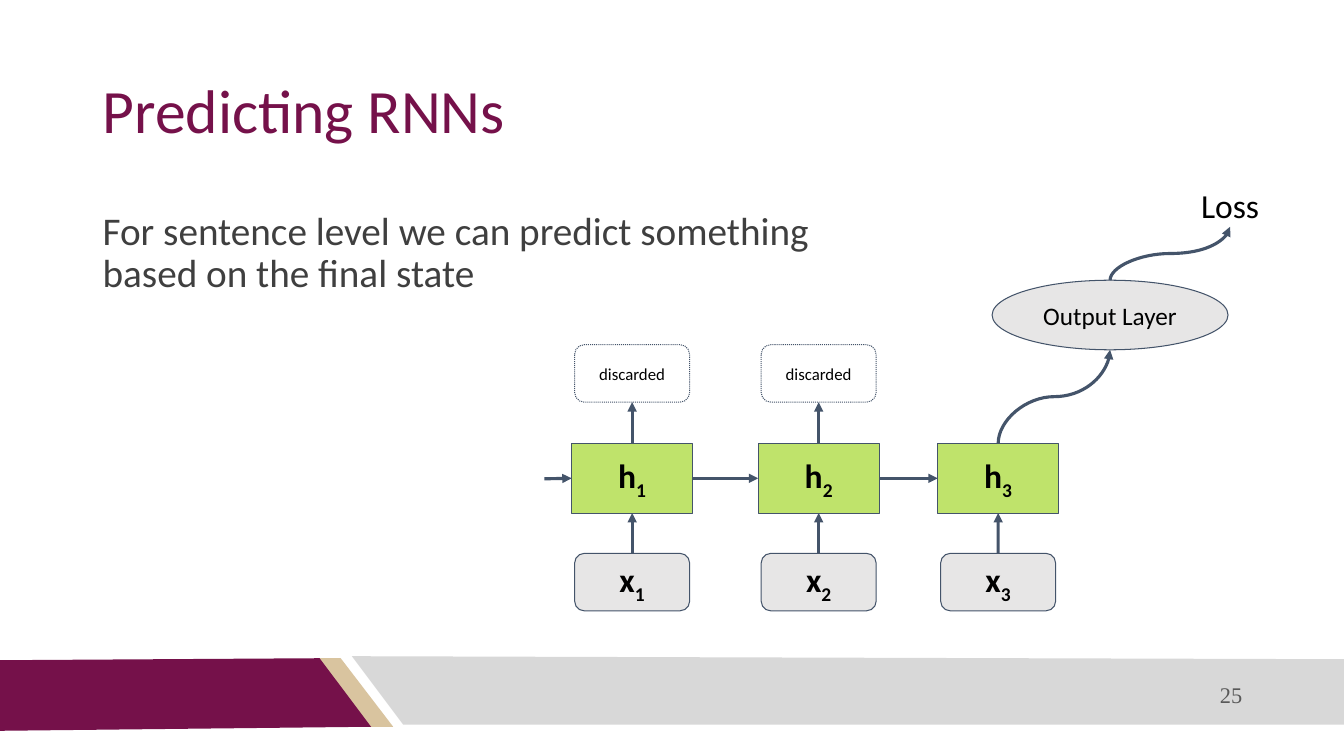
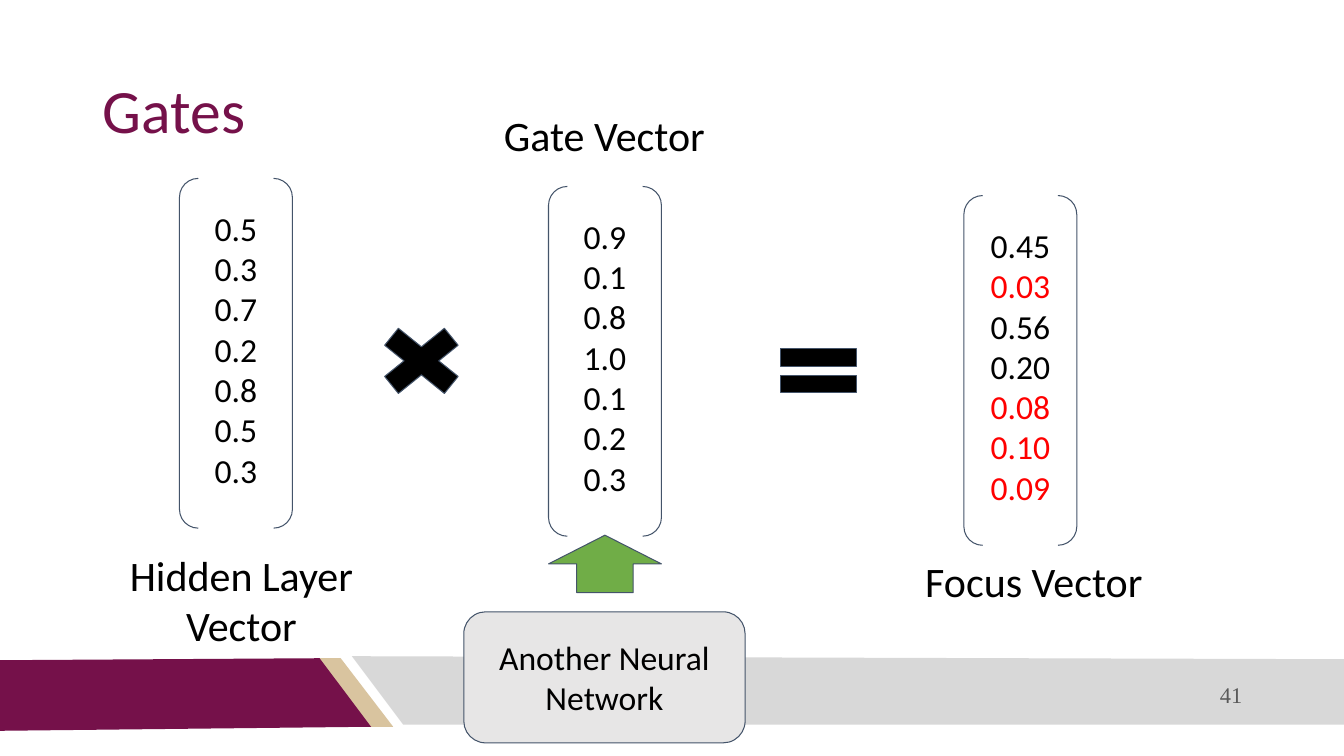
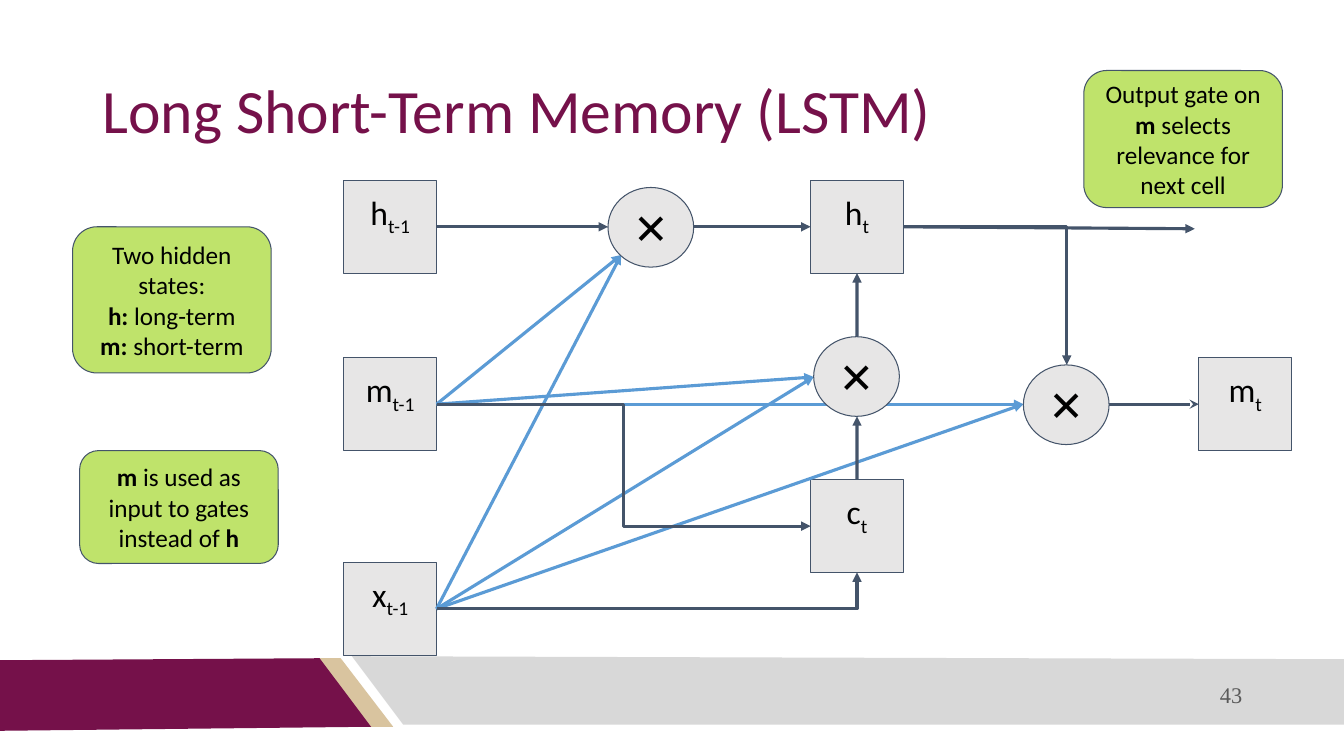
import pptx
import pptx.util
import pptx.dml.color
import pptx.enum.dml
import pptx.enum.shapes
import pptx.enum.text
import pptx.oxml.ns
import lxml.etree

Inches = pptx.util.Inches
Pt = pptx.util.Pt
RGBColor = pptx.dml.color.RGBColor
SHAPE = pptx.enum.shapes.MSO_SHAPE
CONNECTOR = pptx.enum.shapes.MSO_CONNECTOR
ALIGN = pptx.enum.text.PP_ALIGN
ANCHOR = pptx.enum.text.MSO_ANCHOR
qn = pptx.oxml.ns.qn

MAROON = RGBColor(0x75, 0x11, 0x4A)
SAND = RGBColor(0xD9, 0xC4, 0x9F)
SILVER = RGBColor(0xD8, 0xD8, 0xD8)
SLATE = RGBColor(0x44, 0x54, 0x6A)
BLUE = RGBColor(0x5B, 0x9B, 0xD5)
LIME = RGBColor(0xB0, 0xDD, 0x46)
GREEN = RGBColor(0x70, 0xAD, 0x47)
PALE = RGBColor(0xE7, 0xE6, 0xE6)
WHITE = RGBColor(0xFF, 0xFF, 0xFF)
BLACK = RGBColor(0x00, 0x00, 0x00)
RED = RGBColor(0xFF, 0x00, 0x00)
BODY = RGBColor(0x3F, 0x3F, 0x3F)
NUMBER = RGBColor(0x59, 0x59, 0x59)


def add_box(page, preset, at, paras=(), fill=None, size=24, color=BLACK, align=ALIGN.CENTER,
            anchor=ANCHOR.MIDDLE, font="Calibri", spacing=None, bottom=0.1):
    lengths = [Inches(value) for value in at]
    if preset is None:
        box = page.shapes.add_textbox(*lengths)
    else:
        box = page.shapes.add_shape(preset, *lengths)
        box.shadow.inherit = False
        box.line.color.rgb = SLATE
        box.line.width = Pt(0.75)
        if fill is None:
            box.fill.background()
        else:
            box.fill.solid()
            box.fill.fore_color.rgb = fill
        if fill == LIME:
            tint = box._element.spPr.find(qn("a:solidFill"))[0]
            lxml.etree.SubElement(tint, qn("a:alpha")).set("val", "80000")
    frame = box.text_frame
    frame.word_wrap = True
    frame.vertical_anchor = anchor
    frame.margin_left = frame.margin_right = frame.margin_top = Inches(0.1)
    frame.margin_bottom = Inches(bottom)
    for index, spans in enumerate(paras):
        para = frame.add_paragraph() if index else frame.paragraphs[0]
        para.alignment = align
        para.line_spacing = spacing
        for text, style in [(spans, "")] if isinstance(spans, str) else spans:
            span = para.add_run()
            span.text = text
            span.font.name = font
            span.font.size = Pt(size)
            span.font.bold = "bold" in style
            span.font.color.rgb = RED if "red" in style else color
            if "sub" in style:
                span._r.get_or_add_rPr().set("baseline", "-25000")
    return box


def add_arrow(page, start, end, color=SLATE, kind=CONNECTOR.STRAIGHT, head="triangle"):
    joins = [hasattr(tip[0], "shape_id") for tip in (start, end)]
    x1, y1 = (0, 0) if joins[0] else start
    x2, y2 = (0, 0) if joins[1] else end
    if kind == CONNECTOR.CURVE:
        middle_x, middle_y = (x1 + x2) / 2, (y1 + y2) / 2
        half_w, half_h = abs(y2 - y1) / 2, abs(x2 - x1) / 2
        x1, x2 = middle_x - half_w, middle_x + half_w
        y1, y2 = middle_y - half_h, middle_y + half_h
    arrow = page.shapes.add_connector(kind, Inches(x1), Inches(y1), Inches(x2), Inches(y2))
    if joins[0]:
        arrow.begin_connect(*start)
    if joins[1]:
        arrow.end_connect(*end)
    arrow.line.color.rgb = color
    arrow.line.width = Pt(2.25)
    props = arrow._element.spPr
    if kind == CONNECTOR.CURVE:
        props.find(qn("a:xfrm")).set("rot", "16200000")
    lxml.etree.SubElement(props.find(qn("a:ln")), qn("a:tailEnd")).set("type", head)
    lxml.etree.SubElement(props, qn("a:effectLst"))
    return arrow


deck = pptx.Presentation()
deck.slide_width = Inches(13.33)
deck.slide_height = Inches(7.5)

BANDS = [
    (SAND, [(316, 653), (338, 653), (390, 721), (367, 721)]),
    (MAROON, [(0, 655), (317, 653), (368, 721), (0, 725)]),
    (SILVER, [(349, 651), (1333, 654), (1333, 719), (400, 719)]),
]
pages = []
for title, number in [("Predicting RNNs", "25"), ("Gates", "41"), ("Long Short-Term Memory (LSTM)", "43")]:
    page = deck.slides.add_slide(deck.slide_layouts[6])
    for color, points in BANDS:
        outline = page.shapes.build_freeform(*points[0], scale=Inches(0.01))
        outline.add_line_segments(points[1:], close=True)
        band = outline.convert_to_shape()
        band.shadow.inherit = False
        band.fill.solid()
        band.fill.fore_color.rgb = color
        band.line.fill.background()
    add_box(page, None, (0.92, 0.4, 11.5, 1.45), [title], size=44, color=MAROON, align=ALIGN.LEFT, spacing=0.9)
    add_box(page, None, (7.92, 6.69, 4.5, 0.4), [number], size=16, color=NUMBER, align=ALIGN.RIGHT,
            font="Times New Roman")
    pages.append(page)
rnn_page, gates_page, lstm_page = pages

add_box(rnn_page, None, (0.92, 2, 7.77, 4.17),
        ["For sentence level we can predict something based on the final state"],
        size=28, color=BODY, align=ALIGN.LEFT, anchor=ANCHOR.TOP, spacing=0.9)
previous = (5.4, 4.75)
for step, center in enumerate((6.27, 8.12, 9.9), 1):
    sub = (str(step), "bold sub")
    hidden = add_box(rnn_page, SHAPE.RECTANGLE, (center - 0.6, 4.4, 1.2, 0.69), [[("h", "bold"), sub]], LIME)
    word = add_box(rnn_page, SHAPE.ROUNDED_RECTANGLE, (center - 0.57, 5.49, 1.14, 0.57),
                   [[("x", "bold"), sub]], PALE)
    add_arrow(rnn_page, previous if step == 1 else (previous, 3), (hidden, 1))
    add_arrow(rnn_page, (word, 0), (hidden, 2))
    if step < 3:
        discarded = add_box(rnn_page, SHAPE.ROUNDED_RECTANGLE, (center - 0.57, 3.42, 1.14, 0.57),
                            ["discarded"], WHITE, size=12)
        discarded.line.dash_style = pptx.enum.dml.MSO_LINE.ROUND_DOT
        add_arrow(rnn_page, (hidden, 0), (discarded, 2))
    previous = hidden
add_box(rnn_page, SHAPE.OVAL, (9.84, 2.78, 2.34, 0.69), ["Output Layer"], PALE, size=18)
add_box(rnn_page, None, (11.64, 1.73, 1.12, 0.53), ["Loss"], anchor=ANCHOR.TOP)
add_arrow(rnn_page, (9.9, 4.4), (11.01, 3.47), kind=CONNECTOR.CURVE)
add_arrow(rnn_page, (11.01, 2.78), (12.2, 2.25), kind=CONNECTOR.CURVE)

VECTORS = [
    (1.78, 1.77, "0.5 0.3 0.7 0.2 0.8 0.5 0.3", "Hidden Layer Vector", (1, 5.35, 2.79, 1.14)),
    (5.44, 1.85, "0.9 0.1 0.8 1.0 0.1 0.2 0.3", "Gate Vector", (4.6, 0.99, 2.79, 0.69)),
    (9.56, 1.94, "0.45 0.03 0.56 0.20 0.08 0.10 0.09", "Focus Vector", (8.86, 5.41, 2.79, 1.14)),
]
for left, top, values, caption, caption_at in VECTORS:
    add_box(gates_page, SHAPE.DOUBLE_BRACKET, (left, top, 1.12, 3.47))
    rows = [[(value, "red" if caption == "Focus Vector" and float(value) <= 0.1 else "")]
            for value in values.split()]
    add_box(gates_page, None, (left + 0.16, top + 0.19, 0.8, 3.09), rows, anchor=ANCHOR.TOP)
    add_box(gates_page, None, caption_at, [caption], size=30, anchor=ANCHOR.TOP)
add_box(gates_page, SHAPE.MATH_MULTIPLY, (3.61, 3.12, 1.14, 0.92), fill=BLACK)
add_box(gates_page, SHAPE.MATH_EQUAL, (7.61, 3.31, 1.02, 0.74), fill=BLACK)
add_box(gates_page, SHAPE.UP_ARROW, (5.44, 5.31, 1.12, 0.57), fill=GREEN)
add_box(gates_page, SHAPE.ROUNDED_RECTANGLE, (4.6, 6.07, 2.79, 1.3), ["Another Neural Network"], PALE)

cells = {}
for letter, sub, left, top in [("h", "t-1", 3.41, 1.79), ("m", "t-1", 3.41, 3.55), ("x", "t-1", 3.41, 5.58),
                               ("h", "t", 8.04, 1.79), ("c", "t", 8.04, 4.76), ("m", "t", 11.89, 3.55)]:
    cells[letter, sub] = add_box(lstm_page, SHAPE.RECTANGLE, (left, top, 0.92, 0.92),
                                 [[(letter, ""), (sub, "sub")]], PALE, bottom=0.34)
for letter in "mx":
    for gate_edge in [(6.16, 2.53), (8.07, 3.74), (10.15, 4.01)]:
        add_arrow(lstm_page, (cells[letter, "t-1"], 3), gate_edge, BLUE)
for left, top in [(6.03, 1.86), (8.07, 3.34), (10.15, 3.62)]:
    add_box(lstm_page, SHAPE.OVAL, (left, top, 0.85, 0.79), ["✕"], PALE, size=30)

add_arrow(lstm_page, (cells["h", "t-1"], 3), (6.03, 2.25))
add_arrow(lstm_page, (6.88, 2.25), (cells["h", "t"], 1))
add_arrow(lstm_page, (8.5, 3.34), (cells["h", "t"], 2))
add_arrow(lstm_page, (cells["c", "t"], 0), (8.5, 4.13))
add_arrow(lstm_page, (cells["h", "t"], 3), (11.85, 2.27))
add_arrow(lstm_page, (11, 4.01), (cells["m", "t"], 1), head="stealth")
add_arrow(lstm_page, (4.33, 4.01), (8.04, 5.22), kind=CONNECTOR.ELBOW)
for start, end in [((8.96, 2.25), (10.58, 3.62)), ((4.33, 6.04), (8.5, 5.68))]:
    corner = add_arrow(lstm_page, start, end, kind=CONNECTOR.ELBOW)
    corner._element.spPr.find(qn("a:prstGeom")).set("prst", "bentConnector2")

NOTES = [
    ((0.79, 4.47, 1.97, 1.12),
     [[("m", "bold"), (" is used as input to gates instead of ", ""), ("h", "bold")]]),
    ((0.72, 2.25, 1.97, 1.45),
     ["Two hidden states:", [("h: ", "bold"), ("long-term", "")], [("m: ", "bold"), ("short-term", "")]]),
    ((10.75, 0.7, 1.97, 1.36),
     [[("Output gate on ", ""), ("m", "bold"), (" selects relevance for next cell", "")]]),
]
for at, paras in NOTES:
    add_box(lstm_page, SHAPE.ROUNDED_RECTANGLE, at, paras, LIME, size=18)

deck.save("out.pptx")
